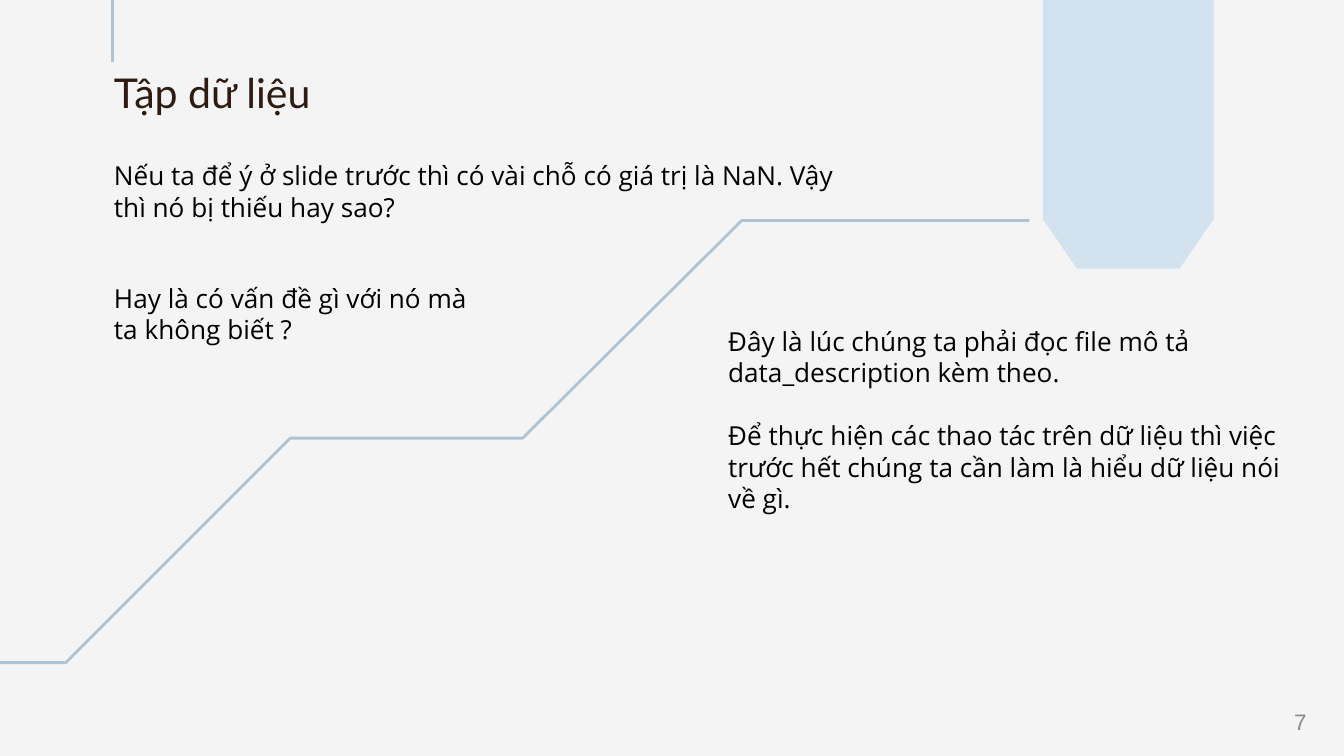
from pptx import Presentation
from pptx.dml.color import RGBColor
from pptx.enum.shapes import MSO_CONNECTOR, MSO_SHAPE
from pptx.enum.text import MSO_ANCHOR, PP_ALIGN
from pptx.oxml.ns import qn
from pptx.util import Inches, Pt
from lxml import etree

STRAIGHT = MSO_CONNECTOR.STRAIGHT
RECTANGLE, HEXAGON = MSO_SHAPE.RECTANGLE, MSO_SHAPE.FLOWCHART_PREPARATION
TOP, MIDDLE = MSO_ANCHOR.TOP, MSO_ANCHOR.MIDDLE
LEFT, RIGHT = PP_ALIGN.LEFT, PP_ALIGN.RIGHT

PAPER = RGBColor(0xF4, 0xF4, 0xF4)
PALE_BLUE = RGBColor(0xD2, 0xE2, 0xEE)
LINE_BLUE = RGBColor(0xAE, 0xC4, 0xD5)
BROWN = RGBColor(0x2E, 0x1B, 0x11)
BLACK = RGBColor(0, 0, 0)
GREY = RGBColor(0x8C, 0x89, 0x88)

# Content: text styles are (font, size, colour)
TITLE_STYLE = ("Lato", 22, BROWN)
BODY_STYLE = ("Open Sans", 14, BLACK)
NUMBER_STYLE = ("Arial", 12, GREY)
PARAGRAPH_GAP = Pt(17)

TITLE = "Tập dữ liệu"
PAGE_NUMBER = "7"
NOTES = [
    ((0.75, 1.14, 5.84, 0.57),
     ["Nếu ta để ý ở slide trước thì có vài chỗ có giá trị là NaN. Vậy thì nó bị thiếu hay sao?"]),
    ((0.75, 2.05, 3.04, 0.57),
     ["Hay là có vấn đề gì với nó mà ta không biết ?"]),
    ((5.32, 2.37, 4.4, 1.51),
     ["Đây là lúc chúng ta phải đọc file mô tả data_description kèm theo.",
      "Để thực hiện các thao tác trên dữ liệu thì việc trước hết chúng ta cần làm là hiểu dữ liệu nói về gì."]),
]
RIBBON = [(RECTANGLE, (7.76, 0, 1.27, 1.64)), (HEXAGON, (7.76, 1.26, 1.27, 0.74))]
STAIRCASE = [(-1.6, 4.93), (0.49, 4.93), (2.16, 3.26), (3.89, 3.26), (5.52, 1.64), (7.66, 1.64)]

# Widescreen 16:9 slide
prs = Presentation()
prs.slide_width = Inches(10)
prs.slide_height = prs.slide_width * 9 // 16
slide = prs.slides.add_slide(prs.slide_layouts[6])
slide.background.fill.solid()
slide.background.fill.fore_color.rgb = PAPER


def add_text(box, paragraphs, style, inset=0.05, anchor=TOP, align=LEFT):
    frame = slide.shapes.add_textbox(*map(Inches, box)).text_frame
    frame.word_wrap = True
    frame.vertical_anchor = anchor
    frame.margin_top = frame.margin_bottom = Inches(inset)
    frame.text = "\n".join(paragraphs)
    font_name, size, color = style
    for index, paragraph in enumerate(frame.paragraphs):
        paragraph.alignment = align
        if index:
            paragraph.space_before = PARAGRAPH_GAP
        paragraph.font.name = font_name
        paragraph.font.size = Pt(size)
        paragraph.font.color.rgb = color


def style_line(shape):
    shape.line.color.rgb = LINE_BLUE
    shape.line.width = Pt(1.5)


# Ribbon hanging from the top edge
ribbon = slide.shapes.add_group_shape()
for preset, box in RIBBON:
    part = ribbon.shapes.add_shape(preset, *map(Inches, box))
    part.shadow.inherit = False
    part.fill.solid()
    part.fill.fore_color.rgb = PALE_BLUE
    part.line.fill.background()

# Staircase line
start, *corners = [(Inches(x), Inches(y)) for x, y in STAIRCASE]
builder = slide.shapes.build_freeform(*start)
builder.add_line_segments(corners, close=False)
staircase = builder.convert_to_shape()
staircase.shadow.inherit = False
staircase.fill.background()
style_line(staircase)

# Short rule above the title
title_rule = slide.shapes.add_connector(
    STRAIGHT, Inches(0.84), Inches(-0.03), Inches(0.84), Inches(0.46))
style_line(title_rule)
etree.SubElement(title_rule._element.spPr, qn("a:effectLst"))

# Title, notes and page number
add_text((0.75, 0.4, 2.8, 1.03), [TITLE], TITLE_STYLE, inset=0.1)
for box, paragraphs in NOTES:
    add_text(box, paragraphs, BODY_STYLE)
add_text((7.57, 5.22, 2.25, 0.3), [PAGE_NUMBER], NUMBER_STYLE, anchor=MIDDLE, align=RIGHT)

prs.save("out.pptx")
